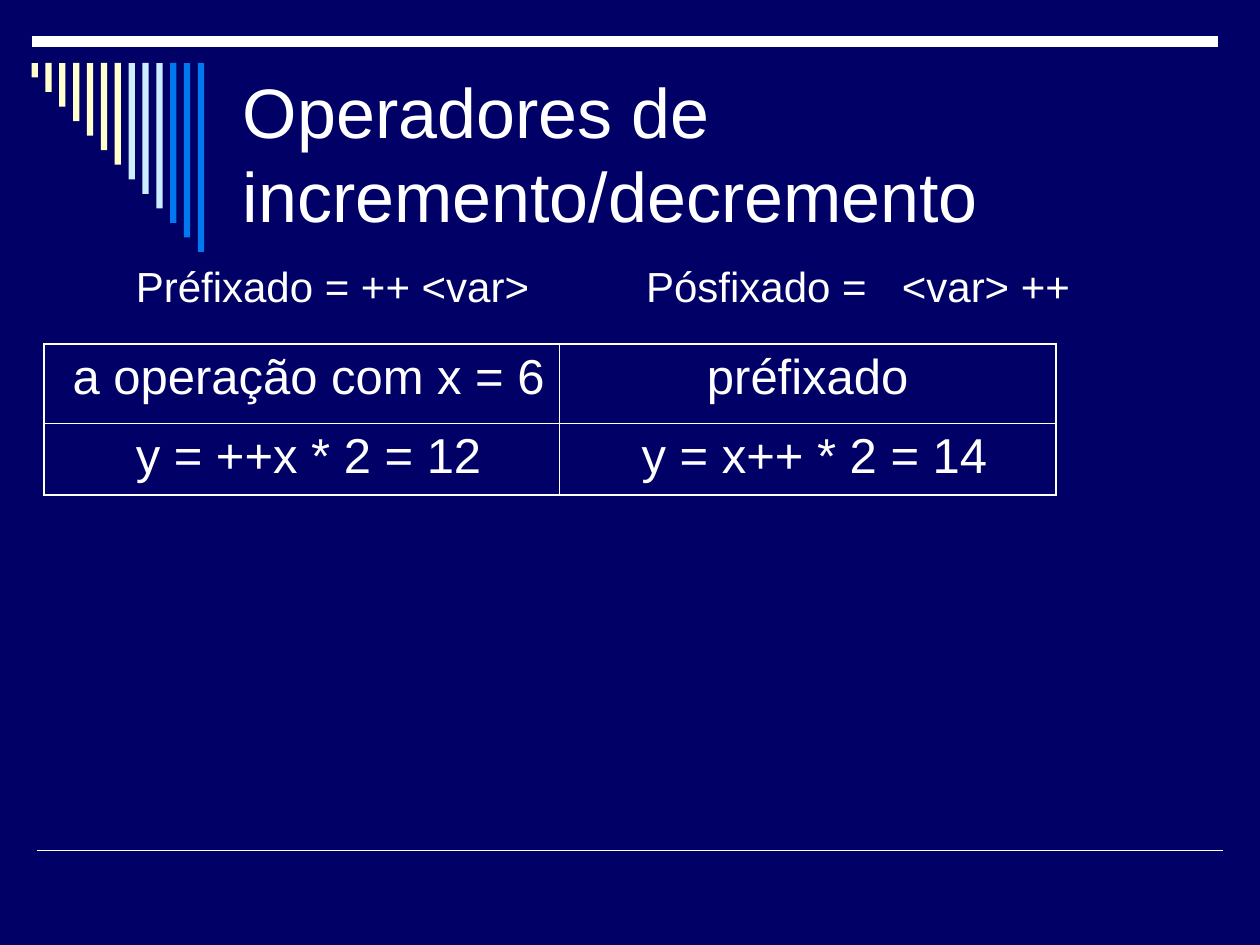
from dataclasses import dataclass
from lxml.etree import SubElement
from pptx import Presentation
from pptx.dml.color import RGBColor as RGB
from pptx.enum.shapes import MSO_CONNECTOR as Link, MSO_SHAPE as Shape
from pptx.enum.text import MSO_ANCHOR as Anchor, PP_ALIGN as Align
from pptx.oxml.ns import qn
from pptx.util import Inches, Pt


@dataclass(frozen=True)
class Theme:
    back: str = "000066"
    ink: str = "FFFFFF"
    cream: str = "FFFFCC"
    pale: str = "CCECFF"
    blue: str = "0078F0"
    font: str = "Arial"
    title: int = 40
    cell: int = 28
    note: int = 24
    outer: float = 1.08
    inner: float = 0.45


T = Theme()
TITLE = "Operadores de incremento/decremento"
FORMS = ("Préfixado = ++ <var>", "Pósfixado =", "<var> ++")
STOPS = (4.05, 6.08)
ROWS = [
    (" a operação com x = 6", "préfixado"),
    (" y = ++x * 2 = 12", " y = x++ * 2 = 14"),
]
WIDTHS = (4.09, 3.94)
HEIGHTS = (0.63, 0.57)
RULES = [(0.25, 0.33, 6), (0.29, 6.75, 1)]  # left, top, weight
RULE_LEN = 9.42
BARS = [T.cream] * 7 + [T.pale] * 3 + [T.blue] * 3
BAR_LEFT, BAR_TOP, BAR_WIDTH = 0.25, 0.5, 0.05
BAR_STEP, BAR_GROW = 0.11, 1.5 / 13


def write(frame, text, size, align=Align.LEFT, before=0, anchor=Anchor.TOP, stops=()):
    frame.word_wrap = True
    frame.vertical_anchor = anchor
    para = frame.paragraphs[0]
    para.alignment = align
    para.space_before = Pt(before)
    run = para.add_run()
    run.text = text
    run.font.name, run.font.size = T.font, Pt(size)
    run.font.color.rgb = RGB.from_string(T.ink)
    if stops:
        tabs = SubElement(para._p.get_or_add_pPr(), qn("a:tabLst"))
        for stop in stops:
            SubElement(tabs, qn("a:tab"), pos=str(Inches(stop)), algn="l")


def add_rule(slide, left, top, weight):
    ends = (Inches(v) for v in (left, top, left + RULE_LEN, top))
    rule = slide.shapes.add_connector(Link.STRAIGHT, *ends)
    rule.line.color.rgb = RGB.from_string(T.ink)
    rule.line.width = Pt(weight)
    SubElement(rule._element.spPr, qn("a:effectLst"))


def add_bars(slide):
    group = slide.shapes.add_group_shape()
    for i, color in enumerate(BARS):
        place = (BAR_LEFT + i * BAR_STEP, BAR_TOP, BAR_WIDTH, (i + 1) * BAR_GROW)
        bar = group.shapes.add_shape(Shape.RECTANGLE, *map(Inches, place))
        bar.shadow.inherit = False
        bar.fill.solid()
        bar.fill.fore_color.rgb = RGB.from_string(color)
        bar.line.fill.background()


def add_box(slide, place, text, size, **style):
    box = slide.shapes.add_textbox(*map(Inches, place))
    write(box.text_frame, text, size, **style)


def set_edges(cell, row, col):
    """Draw the table's outer edges thicker than its inner ones."""
    outer = {
        "lnL": col == 0,
        "lnR": col == len(WIDTHS) - 1,
        "lnT": row == 0,
        "lnB": row == len(HEIGHTS) - 1,
    }
    props = cell._tc.get_or_add_tcPr()
    for tag, thick in outer.items():
        weight = Pt(T.outer if thick else T.inner)
        edge = SubElement(props, qn(f"a:{tag}"), w=str(weight))
        fill = SubElement(edge, qn("a:solidFill"))
        SubElement(fill, qn("a:srgbClr"), val=T.ink)


def add_grid(slide):
    place = (0.35, 2.73, sum(WIDTHS), sum(HEIGHTS))
    size = len(ROWS), len(WIDTHS)
    table = slide.shapes.add_table(*size, *map(Inches, place)).table
    table.first_row = table.horz_banding = False
    for col, width in zip(table.columns, WIDTHS):
        col.width = Inches(width)
    for r, texts in enumerate(ROWS):
        table.rows[r].height = Inches(HEIGHTS[r])
        for c, text in enumerate(texts):
            cell = table.cell(r, c)
            set_edges(cell, r, c)
            cell.fill.background()
            write(cell.text_frame, text, T.cell, align=Align.CENTER, before=7)


def main():
    deck = Presentation()
    deck.slide_width, deck.slide_height = Inches(10), Inches(7.5)
    slide = deck.slides.add_slide(deck.slide_layouts[6])
    slide.background.fill.solid()
    slide.background.fill.fore_color.rgb = RGB.from_string(T.back)
    for rule in RULES:
        add_rule(slide, *rule)
    add_bars(slide)
    add_box(slide, (1.83, 0.5, 7.67, 1.42), TITLE, T.title, anchor=Anchor.MIDDLE)
    add_grid(slide)
    add_box(slide, (0.98, 2.02, 8.43, 0.5), "\t".join(FORMS), T.note,
            before=15, stops=STOPS)
    deck.save("out.pptx")


if __name__ == "__main__":
    main()
